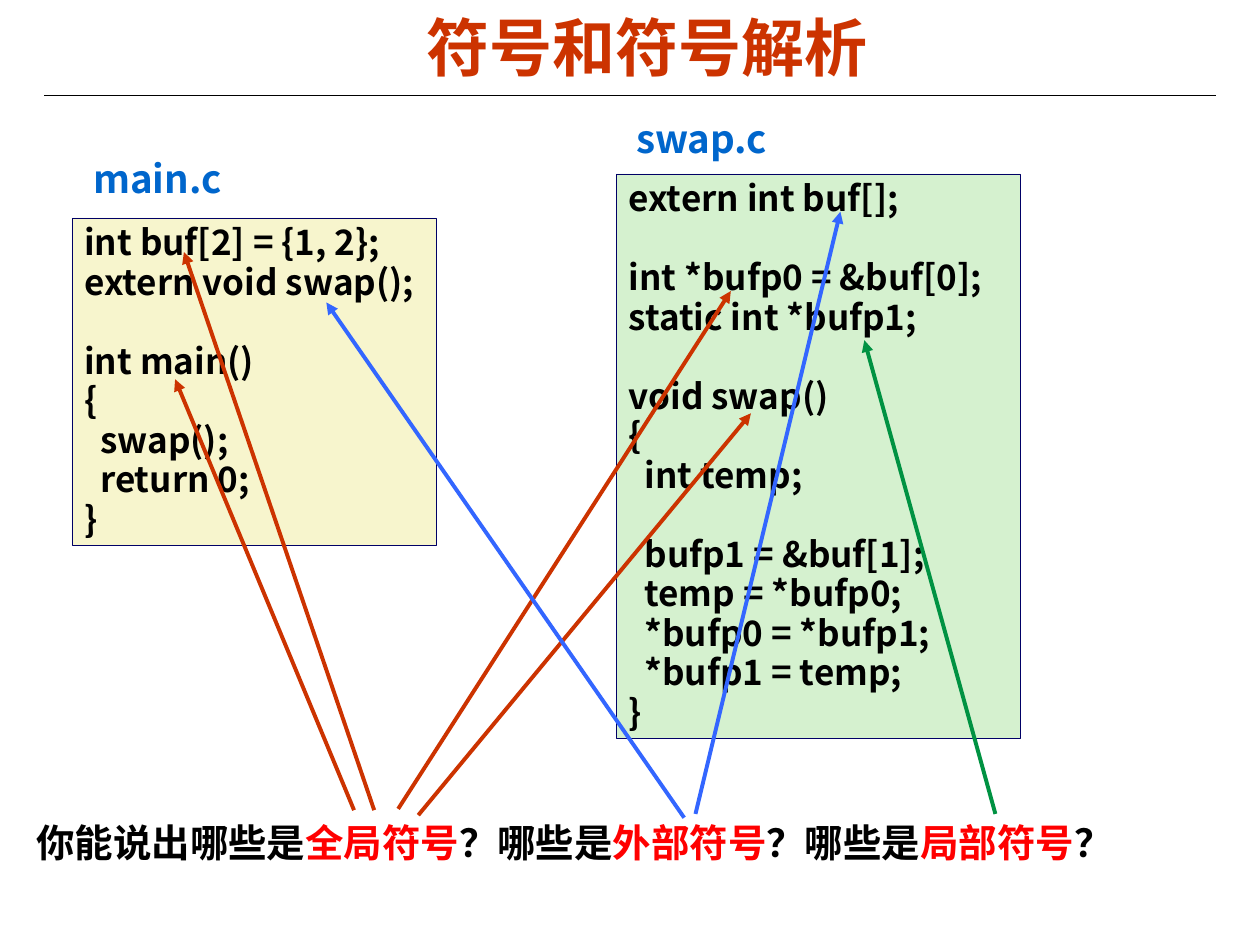
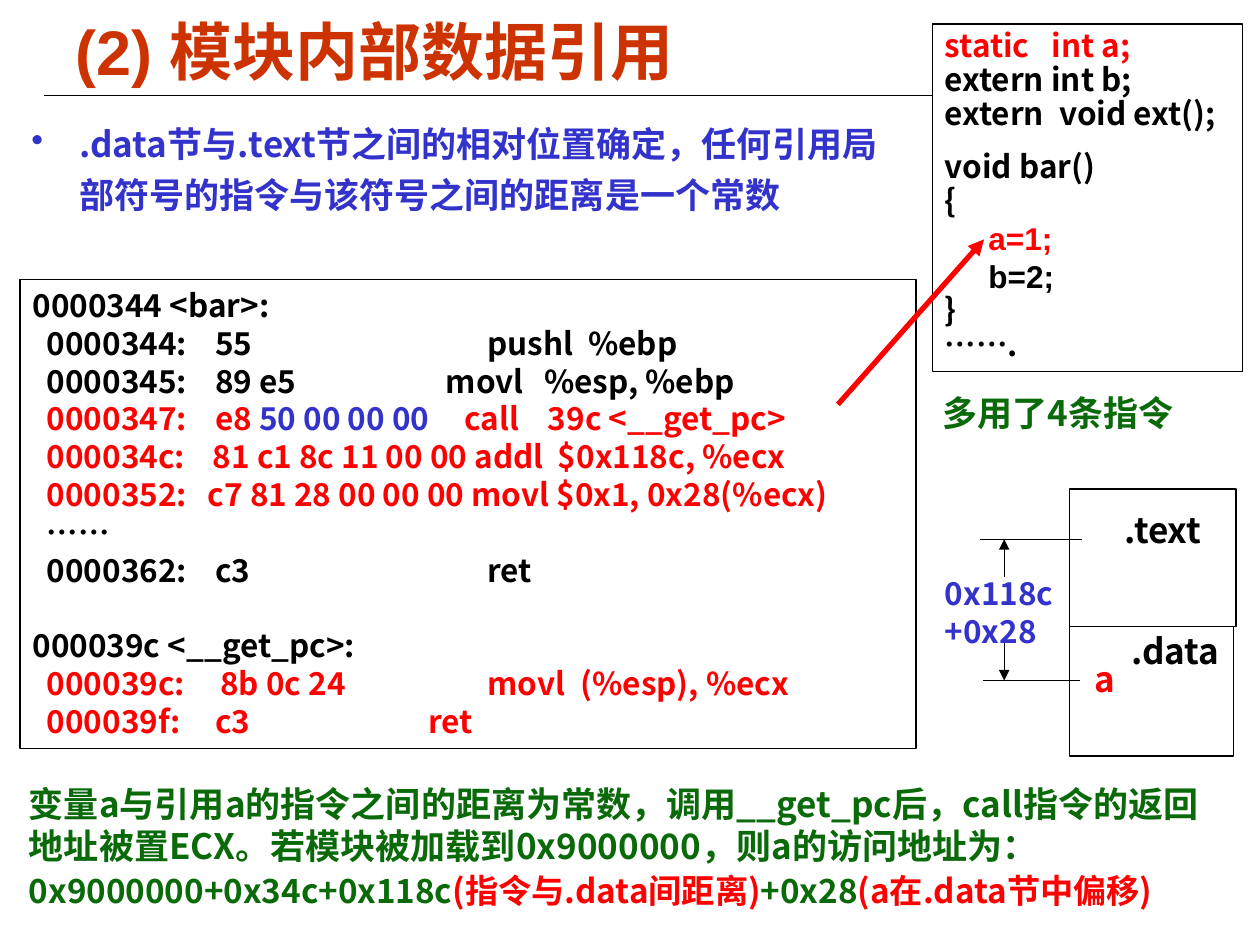
import pptx
import pptx.util
import pptx.dml.color
import pptx.enum.shapes
import pptx.enum.text
import pptx.oxml.ns
from lxml import etree

Inches, Pt = pptx.util.Inches, pptx.util.Pt
ALIGN = pptx.enum.text.PP_ALIGN
ANCHOR = pptx.enum.text.MSO_ANCHOR
SHAPES = pptx.enum.shapes

COLORS = {
    "black": "000000", "white": "FFFFFF", "red": "FF0000",
    "rust": "CC3300", "sky": "3366FF", "leaf": "009242",
    "file": "0066CC", "navy": "000066", "indigo": "3333CC", "forest": "0A6A0A",
    "cream": "F7F5CD", "mint": "D5F1CF",
}
LATIN, CJK = "Arial", "Noto Sans CJK SC"
COLUMNS, ROWS = 100, 75
WIDTH, HEIGHT = Inches(10), Inches(7.5)


def rgb(name):
    return pptx.dml.color.RGBColor.from_string(COLORS[name])


def sub(parent, tag, **attrs):
    return etree.SubElement(parent, pptx.oxml.ns.qn(tag), **attrs)


def write(p, text, size=20, color="black", font=CJK, align=ALIGN.LEFT,
          spacing=None, before=0, bullet=None, hang=0, stops=()):
    """Fill a paragraph with a string or a list of (text, colour[, font]) runs."""
    pPr = p._p.get_or_add_pPr()
    if bullet:
        pPr.set("marL", str(Inches(hang)))
        pPr.set("indent", str(-Inches(hang)))
        sub(pPr, "a:buChar", char=bullet)
    if stops:
        tabs = sub(pPr, "a:tabLst")
        for stop in stops:
            sub(tabs, "a:tab", pos=str(Inches(stop)), algn="l")
    p.alignment = align
    if spacing:
        p.line_spacing = spacing
    if before:
        p.space_before = Pt(before)
    for run in [(text, color)] if isinstance(text, str) else text:
        r = p.add_run()
        r.text = run[0]
        r.font.size, r.font.bold = Pt(size), True
        r.font.name = run[2] if len(run) > 2 else font
        r.font.color.rgb = rgb(run[1])
        sub(r._r.get_or_add_rPr(), "a:ea", typeface=CJK)


class Deck:
    """Places elements on a grid of 100 columns by 75 rows."""

    def __init__(self):
        self.prs = pptx.Presentation()
        self.prs.slide_width, self.prs.slide_height = WIDTH, HEIGHT
        self.s = None

    def x(self, columns):
        return round(WIDTH * columns / COLUMNS)

    def y(self, rows):
        return round(HEIGHT * rows / ROWS)

    def area(self, box):
        left, top, width, height = box
        return self.x(left), self.y(top), self.x(width), self.y(height)

    def slide(self, title, box, align=ALIGN.LEFT):
        self.s = self.prs.slides.add_slide(self.prs.slide_layouts[6])
        self.line((3.5, 7.6), (96.5, 7.6))
        self.text(box, [title], anchor=ANCHOR.MIDDLE, size=36, color="rust",
                  font=LATIN, align=align)

    def fill_text(self, sp, paras, anchor=ANCHOR.TOP, inset=0.1, **fmt):
        """Each paragraph is text or runs, or a dict that overrides the format."""
        tf = sp.text_frame
        tf.word_wrap = True
        tf.vertical_anchor = anchor
        tf.margin_left = tf.margin_right = Inches(inset)
        tf.margin_top = tf.margin_bottom = Inches(0.05)
        for i, para in enumerate(paras):
            p = tf.add_paragraph() if i else tf.paragraphs[0]
            own = para if isinstance(para, dict) else {"text": para}
            write(p, **{**fmt, **own})

    def text(self, box, paras, **fmt):
        self.fill_text(self.s.shapes.add_textbox(*self.area(box)), paras, **fmt)

    def panel(self, box, paras=(), fill="white", line="black", weight=0.75, **fmt):
        sp = self.s.shapes.add_shape(SHAPES.MSO_SHAPE.RECTANGLE, *self.area(box))
        sp.shadow.inherit = False
        sp.fill.solid()
        sp.fill.fore_color.rgb = rgb(fill)
        sp.line.color.rgb = rgb(line)
        sp.line.width = Pt(weight)
        self.fill_text(sp, paras, **fmt)

    def line(self, start, end, color="black", weight=0.75, arrow=False):
        cn = self.s.shapes.add_connector(
            SHAPES.MSO_CONNECTOR.STRAIGHT, self.x(start[0]), self.y(start[1]),
            self.x(end[0]), self.y(end[1]))
        cn.line.color.rgb = rgb(color)
        cn.line.width = Pt(weight)
        if arrow:
            sub(cn.line._get_or_add_ln(), "a:tailEnd", type="triangle")
        sub(cn._element.spPr, "a:effectLst")


def symbols_slide(deck):
    deck.slide("符号和符号解析", (3.7, -0.6, 95.3, 8.6), align=ALIGN.CENTER)

    def after_gap(text):
        return {"text": text, "before": 22.6}

    main_c = ["int buf[2] = {1, 2};", "extern void swap();",
              after_gap("int main()"), "{", "  swap();", "  return 0;", "}"]
    swap_c = ["extern int buf[];", after_gap("int *bufp0 = &buf[0];"),
              "static int *bufp1;", after_gap("void swap()"), "{", "  int temp;",
              after_gap("  bufp1 = &buf[1];"), "  temp = *bufp0;",
              "  *bufp0 = *bufp1;", "  *bufp1 = temp;", "}"]
    files = [
        ("main.c", (6.4, 12.1, 12.9, 4.4), main_c, (5.7, 17.3, 28.9, 26), "cream"),
        ("swap.c", (49.5, 8.9, 14.6, 4.4), swap_c, (48.9, 13.8, 32.1, 44.8), "mint"),
    ]
    for name, name_box, code, code_box, fill in files:
        deck.panel(code_box, code, fill=fill, line="navy", weight=0.25, spacing=0.94)
        deck.text(name_box, [name], size=22, color="file", spacing=0.94)

    question = [("你能说出哪些是", "black"), ("全局符号", "red"),
                ("？哪些是", "black"), ("外部符号", "red"),
                ("？哪些是", "black"), ("局部符号", "red"), ("？", "black")]
    deck.text((1.9, 64.5, 89.5, 4.7), [question], size=22, font=LATIN)

    answers = {
        "rust": [((29.7, 64.3), (14.6, 20)), ((28.1, 64.3), (13.9, 30.1)),
                 ((31.6, 64.2), (58, 23.1)), ((33.2, 64.7), (59.6, 32.8))],
        "sky": [((54.3, 64.9), (25.9, 24)), ((55.2, 64.6), (66.7, 16.8))],
        "leaf": [((79, 64.6), (68.6, 27))],
    }
    for color, arrows in answers.items():
        for start, end in arrows:
            deck.line(start, end, color, 2.25, arrow=True)


def disassembly():
    def row(text, *stops, color="black"):
        return {"text": text, "stops": stops, "color": color}

    return [
        "0000344 <bar>:",
        row("  0000344:\t55\tpushl\t%ebp", 1.45, 3.61, 4.41),
        row("  0000345:\t89 e5\tmovl\t%esp, %ebp", 1.45, 3.28, 4.06),
        row([("  0000347:\te8 ", "red"), ("50 00 00 00", "indigo"),
             ("\tcall\t39c <__get_pc>", "red")], 1.45, 3.43, 4.09),
        row("  000034c:\t81 c1 8c 11 00 00 addl\t$0x118c, %ecx",
            1.43, 4.17, color="red"),
        row("  0000352:\tc7 81 28 00 00 00 movl $0x1, 0x28(%ecx)",
            1.39, color="red"),
        "  ……",
        row("  0000362:\tc3\tret", 1.45, 3.61),
        {"text": "000039c <__get_pc>:", "before": 21.6},
        row("  000039c:\t8b 0c 24\tmovl\t(%esp), %ecx", 1.49, 3.61, 4.35, color="red"),
        row("  000039f:\tc3\tret", 1.45, 3.14, color="red"),
    ]


def data_reference_slide(deck):
    deck.slide("(2) 模块内部数据引用", (5, 0.9, 90, 6.1))
    deck.text((1.5, 8.6, 70.9, 12.1),
              [".data节与.text节之间的相对位置确定，任何引用局部符号的指令与"
               "该符号之间的距离是一个常数"],
              color="indigo", spacing=1.2, bullet="•", hang=0.38)

    source = [
        {"text": "static\tint a;", "color": "red", "stops": [0.85]},
        "extern int b;",
        {"text": "extern\tvoid ext();", "stops": [0.91]},
        {"text": "void bar()", "before": 10.8},
        "{",
        {"text": "     a=1;", "color": "red", "font": LATIN, "spacing": 1},
        {"text": "     b=2;", "font": LATIN, "spacing": 1},
        "}",
        "…….",
    ]
    deck.panel((74, 1.9, 24.6, 27.6), source, size=18, spacing=0.9)
    deck.panel((1.6, 22.2, 71.1, 37.2), disassembly(), size=18)

    address = [("0x9000000+0x34c+0x118c", "forest"), ("(指令与.data间距离)", "red"),
               ("+0x28", "forest"), ("(a在.data节中偏移)", "red")]
    deck.text((2.3, 61.6, 95.1, 11.1),
              ["变量a与引用a的指令之间的距离为常数，调用__get_pc后，call指令的"
               "返回地址被置ECX。若模块被加载到0x9000000，则a的访问地址为：",
               {"text": address, "size": 19, "before": 2}],
              inset=0, color="forest")

    deck.panel((84.9, 38.8, 13.2, 10.9))
    deck.panel((84.9, 49.7, 13, 10.3))
    deck.text((88.3, 39.9, 9.1, 4.3), [".text"])
    deck.text((88.8, 49.5, 9.1, 4.3), [".data"])
    deck.text((85.9, 51.7, 5.9, 4.3), ["a"], color="red")

    call_row, data_row, distance_column = 42.8, 54, 79.7
    deck.line((77.8, call_row), (85.9, call_row))
    deck.line((78, data_row), (85.7, data_row))
    for start_row, end_row in [(45.8, call_row), (50.6, data_row)]:
        deck.line((distance_column, start_row), (distance_column, end_row), arrow=True)
    deck.text((74, 45.1, 12.1, 7), ["0x118c", "+0x28"], size=18, color="indigo")

    deck.line((66.5, 32.1), (78.1, 19), "red", 3, arrow=True)
    deck.text((73.8, 30.6, 20.9, 4.3), ["多用了4条指令"], color="forest")


def main():
    deck = Deck()
    symbols_slide(deck)
    data_reference_slide(deck)
    deck.prs.save("out.pptx")


if __name__ == "__main__":
    main()
